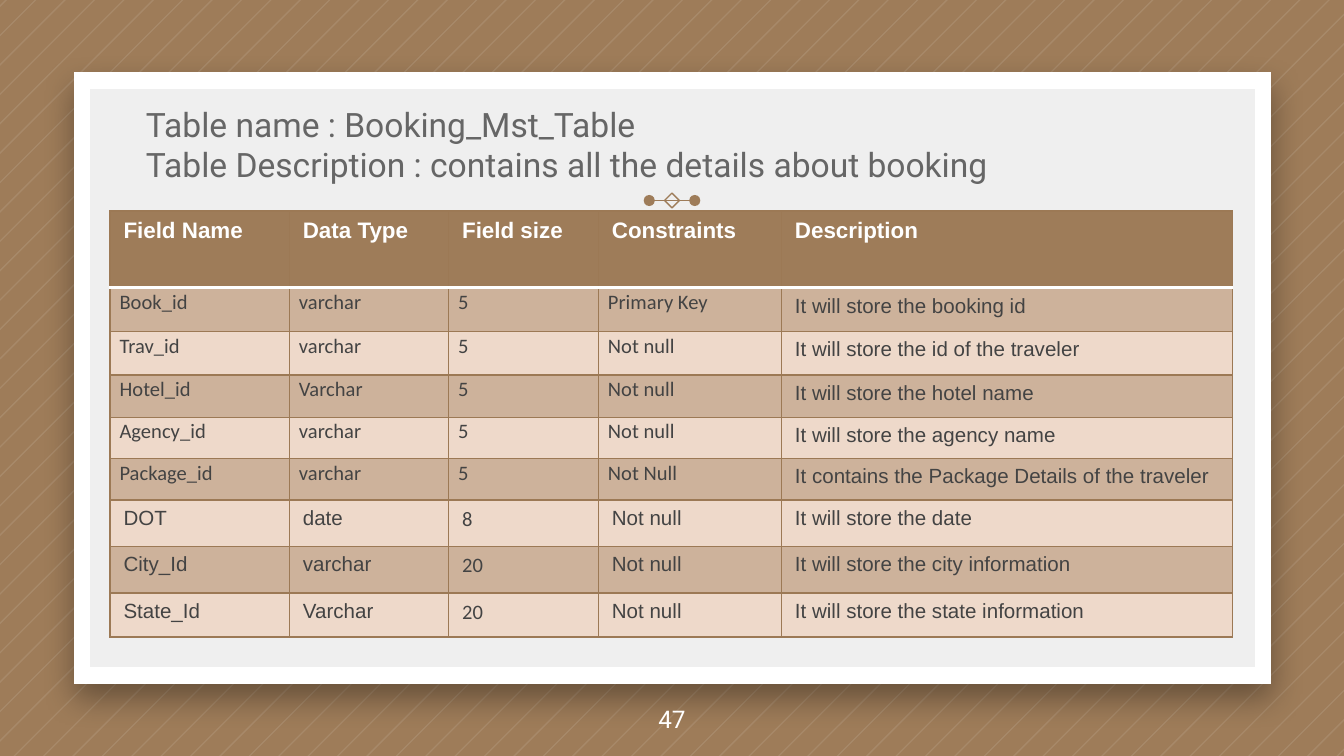
from dataclasses import dataclass

from lxml.etree import SubElement
from pptx import Presentation
from pptx.dml.color import RGBColor
from pptx.enum.shapes import MSO_CONNECTOR, MSO_SHAPE
from pptx.enum.text import MSO_ANCHOR, PP_ALIGN
from pptx.oxml.ns import qn
from pptx.util import Cm, Pt

COLORS = {
    "brown": "9E7C59",
    "border": "9C7955",
    "white": "FFFFFF",
    "board": "EFEFEF",
    "title": "666666",
    "ink": "434343",
    "dark row": "CDB29B",
    "light row": "EED9CA",
}
WIDTH, HEIGHT = 25.4, 14.29
STRIPE_START, STRIPE_PITCH, STRIPE_WIDTH, STRIPE_COUNT = 0.1, 0.5556, 0.035, 72
HEADINGS = ("Field Name", "Data Type", "Field size", "Constraints", "Description")
COLUMN_WIDTHS = (3.39, 3.01, 2.83, 3.46, 8.52)
HEADER_HEIGHT = 1.45


@dataclass
class Field:
    values: tuple[str, str, str, str, str]
    height: float
    compact: bool = True  # Calibri with narrow margins before the description


FIELDS = (
    Field(("Book_id", "varchar", "5", "Primary Key", "It will store the booking id"), 0.83),
    Field(("Trav_id", "varchar", "5", "Not null", "It will store the id of the traveler"), 0.82),
    Field(("Hotel_id", "Varchar", "5", "Not null", "It will store the hotel name"), 0.8),
    Field(("Agency_id", "varchar", "5", "Not null", "It will store the agency name"), 0.78),
    Field(("Package_id", "varchar", "5", "Not Null",
           "It contains the Package Details of the traveler"), 0.78),
    Field(("DOT", "date", "8", "Not null", "It will store the date"), 0.88, False),
    Field(("City_Id", "varchar", "20", "Not null", "It will store the city information"), 0.88, False),
    Field(("State_Id", "Varchar", "20", "Not null", "It will store the state information"), 0.83, False),
)


def rgb(name: str) -> RGBColor:
    return RGBColor.from_string(COLORS[name])


def set_font(paragraph, face: str, size: float, color: str, bold: bool = False) -> None:
    font = paragraph.font
    font.name, font.size, font.bold = face, Pt(size), bold
    font.color.rgb = rgb(color)


def draw_stripes(slide) -> None:
    def edge(c: float) -> list[tuple[int, int]]:
        """Ends of the diagonal x + y = c, clipped to the slide."""
        ends = ((min(c, WIDTH), max(c - WIDTH, 0)), (max(c - HEIGHT, 0), min(c, HEIGHT)))
        return [(Cm(x), Cm(y)) for x, y in ends]

    builder = None
    for i in range(STRIPE_COUNT):
        c = STRIPE_START + i * STRIPE_PITCH
        first, *others = edge(c) + edge(c + STRIPE_WIDTH)[::-1]
        if builder is None:
            builder = slide.shapes.build_freeform(*first)
        else:
            builder.move_to(*first)
        builder.add_line_segments(others, close=True)
    stripes = builder.convert_to_shape()
    stripes.shadow.inherit = False
    stripes.line.fill.background()
    stripes.fill.solid()
    stripes.fill.fore_color.rgb = rgb("white")
    color = stripes.element.spPr.find(".//" + qn("a:srgbClr"))
    SubElement(color, qn("a:alpha"), val="10000")


def draw_board(slide) -> None:
    board = slide.shapes.add_shape(MSO_SHAPE.RECTANGLE, Cm(1.55), Cm(1.52), Cm(22.32), Cm(11.25))
    board.fill.solid()
    board.fill.fore_color.rgb = rgb("board")
    board.line.color.rgb = rgb("white")
    board.line.width = Pt(9)
    board.shadow.inherit = False
    properties = board.element.spPr
    SubElement(properties.find(qn("a:ln")), qn("a:miter"), lim="800000")
    shadow = SubElement(properties.find(qn("a:effectLst")), qn("a:outerShdw"),
                        blurRad=str(Pt(16.9)), dist=str(Pt(7.5)), dir="5400000",
                        algn="t", rotWithShape="0")
    SubElement(SubElement(shadow, qn("a:srgbClr"), val="000000"), qn("a:alpha"), val="35000")


def draw_ornament(slide) -> None:
    rule = slide.shapes.add_connector(MSO_CONNECTOR.STRAIGHT, Cm(12.27), Cm(3.79), Cm(13.13), Cm(3.79))
    diamond = slide.shapes.add_shape(MSO_SHAPE.DIAMOND, Cm(12.56), Cm(3.65), Cm(0.28), Cm(0.28))
    diamond.fill.background()
    diamond.shadow.inherit = False
    for part in (rule, diamond):
        part.line.color.rgb = rgb("brown")
        part.line.width = Pt(0.75)
    properties = rule.element.spPr
    for end in ("a:headEnd", "a:tailEnd"):
        SubElement(properties.find(qn("a:ln")), qn(end), type="oval", w="med", len="med")
    SubElement(properties, qn("a:effectLst"))


def add_text(slide, text: str, box: tuple[float, float, float, float], size: float,
             color: str, anchor: MSO_ANCHOR, align: PP_ALIGN) -> None:
    frame = slide.shapes.add_textbox(*map(Cm, box)).text_frame
    frame.word_wrap = True
    frame.vertical_anchor = anchor
    frame.margin_left = frame.margin_right = frame.margin_top = frame.margin_bottom = Cm(0.25)
    frame.text = text
    paragraph = frame.paragraphs[0]
    paragraph.alignment = align
    set_font(paragraph, "Roboto", size, color)


def set_border(cell, side: str, color: str, width: float) -> None:
    line = SubElement(cell._tc.get_or_add_tcPr(), qn(f"a:ln{side}"), w=str(Pt(width)))
    SubElement(SubElement(line, qn("a:solidFill")), qn("a:srgbClr"), val=COLORS[color])


def style_cell(cell, text: str, fill: str, row: int) -> None:
    for side in "LRTB":
        under_header = (row, side) in ((0, "B"), (1, "T"))
        set_border(cell, side, *(("white", 2) if under_header else ("border", 0.75)))
    cell.fill.solid()
    cell.fill.fore_color.rgb = rgb(fill)
    cell.text = text


def draw_table(slide) -> None:
    heights = [HEADER_HEIGHT] + [field.height for field in FIELDS]
    table = slide.shapes.add_table(len(heights), len(HEADINGS), Cm(2.08), Cm(3.99),
                                   Cm(sum(COLUMN_WIDTHS)), Cm(sum(heights))).table
    table.horz_banding = False
    for column, width in zip(table.columns, COLUMN_WIDTHS):
        column.width = Cm(width)
    for table_row, height in zip(table.rows, heights):
        table_row.height = Cm(height)

    for column, heading in enumerate(HEADINGS):
        cell = table.cell(0, column)
        style_cell(cell, heading, "brown", 0)
        set_font(cell.text_frame.paragraphs[0], "Arial", 12, "white", True)

    for row, field in enumerate(FIELDS, 1):
        for column, value in enumerate(field.values):
            cell = table.cell(row, column)
            style_cell(cell, value, "dark row" if row % 2 else "light row", row)
            paragraph = cell.text_frame.paragraphs[0]
            compact = field.compact and HEADINGS[column] != "Description"
            if compact:
                cell.margin_left = cell.margin_right = Cm(0.18)
                cell.margin_top = cell.margin_bottom = 0
                paragraph.line_spacing = 1.07
            calibri = compact or HEADINGS[column] == "Field size"
            set_font(paragraph, "Calibri" if calibri else "Arial", 11, "ink")


def main() -> None:
    presentation = Presentation()
    presentation.slide_width, presentation.slide_height = Cm(WIDTH), Cm(HEIGHT)
    slide = presentation.slides.add_slide(presentation.slide_layouts[6])

    # Striped background and framed board
    slide.background.fill.solid()
    slide.background.fill.fore_color.rgb = rgb("brown")
    draw_stripes(slide)
    draw_board(slide)
    draw_ornament(slide)

    # Title and page number
    add_text(slide, "Table name : Booking_Mst_Table\vTable Description : contains all the details about booking",
             (2.51, 2.06, 20.4, 1.68), 18, "title", MSO_ANCHOR.BOTTOM, PP_ALIGN.LEFT)
    add_text(slide, "47", (0, 12.9, WIDTH, 1.37), 13, "white", MSO_ANCHOR.MIDDLE, PP_ALIGN.CENTER)

    # Field definitions
    draw_table(slide)
    presentation.save("out.pptx")


if __name__ == "__main__":
    main()
